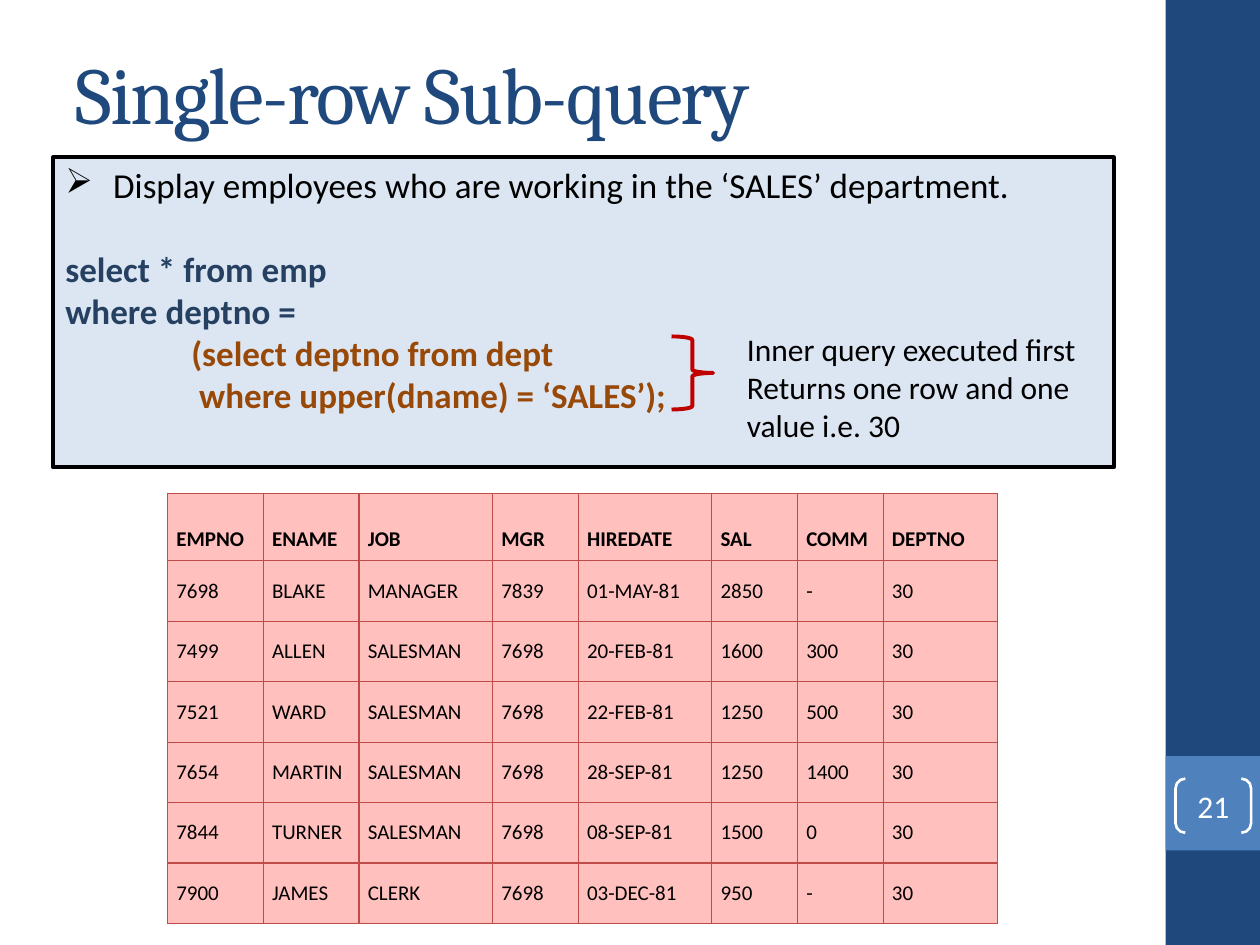
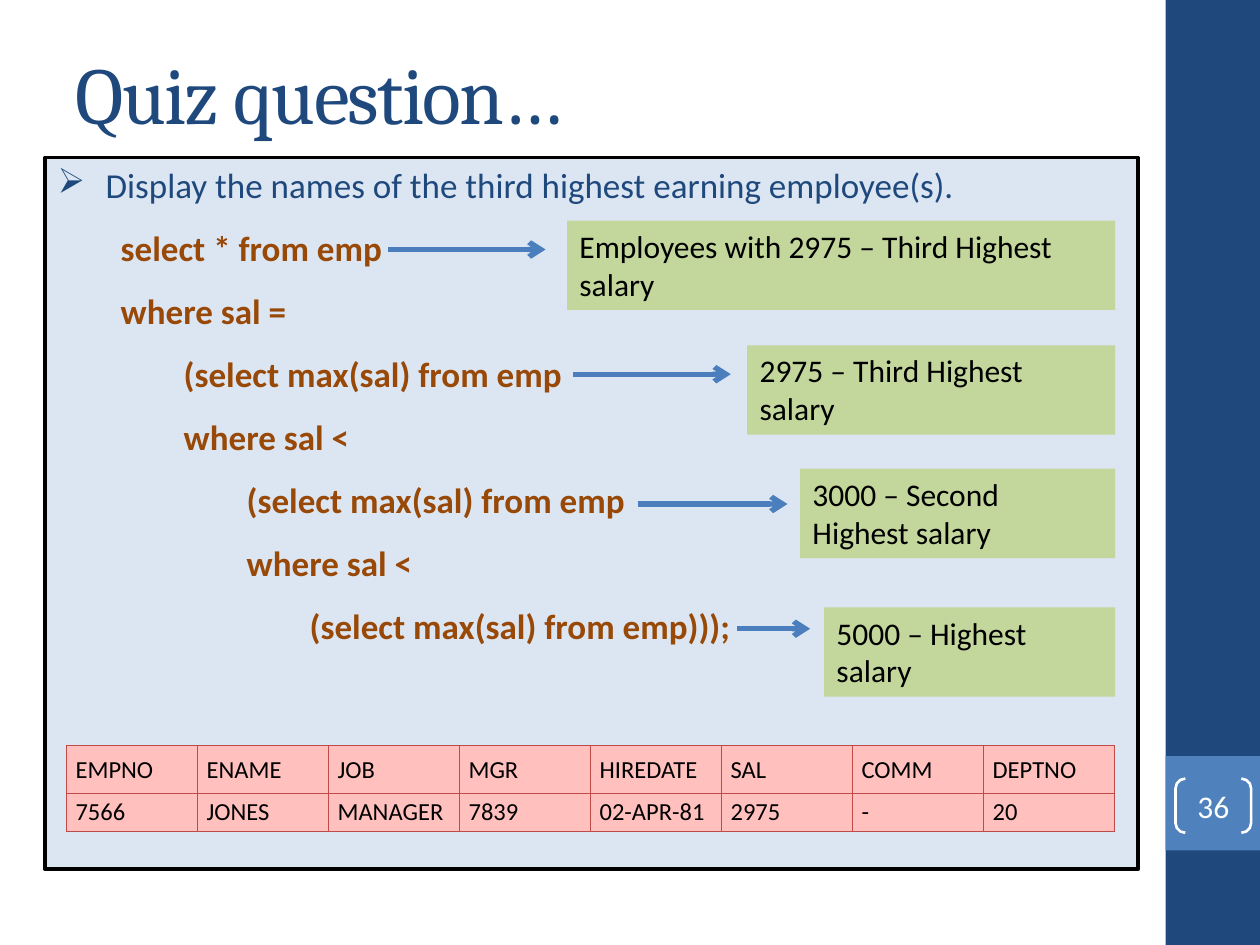
from lxml.etree import SubElement
from pptx import Presentation
from pptx.dml.color import RGBColor
from pptx.enum.shapes import MSO_CONNECTOR, MSO_SHAPE
from pptx.enum.text import MSO_ANCHOR, MSO_AUTO_SIZE, PP_ALIGN
from pptx.oxml.ns import qn
from pptx.util import Pt

PX = 9144
NAVY, BLUE, PALE, PINK = "1F497D", "4F81BD", "DCE6F2", "FFC0BE"
BROWN, RUST, GREEN, RED = "984807", "BF4C48", "C3D69B", "C00000"
DARK, ARROW, BLACK, WHITE = "254061", "4B7EBC", "000000", "FFFFFF"


def tint(code):
    return RGBColor.from_string(code)


def draw(slide, kind, at, fill=None, line=None, width=0, text="", size=18, color=BLACK):
    shape = slide.shapes.add_shape(kind, *[n * PX for n in at])
    shape.shadow.inherit = False
    if fill:
        shape.fill.solid()
        shape.fill.fore_color.rgb = tint(fill)
    else:
        shape.fill.background()
    if line:
        shape.line.color.rgb = tint(line)
        shape.line.width = Pt(width)
    else:
        shape.line.fill.background()
    if text:
        frame = shape.text_frame
        frame.text = text
        frame.word_wrap = True
        frame.vertical_anchor = MSO_ANCHOR.TOP
        for para in frame.paragraphs:
            para.alignment = PP_ALIGN.LEFT
            para.font.name = "Calibri"
            para.font.size = Pt(size)
            para.font.color.rgb = tint(color)
    return shape


HEAD = "EMPNO ENAME JOB MGR HIREDATE SAL COMM DEPTNO"
PAGES = [
    {
        "title": "Single-row Sub-query",
        "number": "21",
        "panel": (42, 125, 842, 246),
        "lead": ("Display employees who are working in the ‘SALES’ department.", BLACK),
        "code": [
            ("select * from emp", 0, 24, DARK),
            ("where deptno =", 0, 0, DARK),
            ("(select deptno from dept", 100, 0, BROWN),
            (" where upper(dname) = ‘SALES’);", 100, 0, BROWN),
        ],
        "place": (133, 392),
        "cols": [76, 76, 106, 68, 106, 68, 68, 91],
        "rows": [53] + [48] * 6,
        "size": 12,
        "bold": True,
        "data": [
            HEAD,
            "7698 BLAKE MANAGER 7839 01-MAY-81 2850 - 30",
            "7499 ALLEN SALESMAN 7698 20-FEB-81 1600 300 30",
            "7521 WARD SALESMAN 7698 22-FEB-81 1250 500 30",
            "7654 MARTIN SALESMAN 7698 28-SEP-81 1250 1400 30",
            "7844 TURNER SALESMAN 7698 08-SEP-81 1500 0 30",
            "7900 JAMES CLERK 7698 03-DEC-81 950 - 30",
        ],
    },
    {
        "title": "Quiz question…",
        "number": "36",
        "panel": (36, 125, 867, 565),
        "lead": ("Display the names of the third highest earning employee(s).", NAVY),
        "code": [
            ("select * from emp", 50, 12, BROWN),
            ("where sal =", 50, 12, BROWN),
            ("(select max(sal) from emp", 100, 12, BROWN),
            ("where sal <", 100, 12, BROWN),
            ("(select max(sal) from emp", 150, 12, BROWN),
            ("where sal <", 150, 12, BROWN),
            ("(select max(sal) from emp)));", 200, 12, BROWN),
        ],
        "place": (53, 592),
        "cols": [104] * 8,
        "rows": [37, 30],
        "size": 14,
        "bold": False,
        "data": [HEAD, "7566 JONES MANAGER 7839 02-APR-81 2975 - 20"],
    },
]

deck = Presentation()
deck.slide_width, deck.slide_height = 1000 * PX, 750 * PX
slides = []

for page in PAGES:
    slide = deck.slides.add_slide(deck.slide_layouts[5])
    slides.append(slide)
    draw(slide, MSO_SHAPE.RECTANGLE, (925, 0, 75, 750), NAVY)
    draw(slide, MSO_SHAPE.RECTANGLE, (925, 600, 75, 75), BLUE)
    badge = draw(slide, MSO_SHAPE.DOUBLE_BRACKET, (933, 618, 60, 43), None, WHITE, 1.5,
                 page["number"], 18, WHITE)
    badge.adjustments[0] = 0.18
    frame = badge.text_frame
    frame.margin_left = frame.margin_right = frame.margin_top = frame.margin_bottom = 0
    frame.vertical_anchor = MSO_ANCHOR.MIDDLE
    frame.paragraphs[0].alignment = PP_ALIGN.CENTER

    title = slide.shapes.title
    title.left, title.top, title.width, title.height = [n * PX for n in (50, 30, 833, 87)]
    frame = title.text_frame
    frame.text = page["title"]
    frame.auto_size = MSO_AUTO_SIZE.NONE
    frame.vertical_anchor = MSO_ANCHOR.MIDDLE
    frame.paragraphs[0].alignment = PP_ALIGN.LEFT
    run = frame.paragraphs[0].runs[0]
    run.font.name = "Cambria"
    run.font.size = Pt(46)
    run.font.color.rgb = tint(NAVY)
    run.font._element.set("spc", "-100")

    lead, shade = page["lead"]
    panel = draw(slide, MSO_SHAPE.RECTANGLE, page["panel"], PALE, BLACK, 2.25, lead, 20, shade)
    para = panel.text_frame.paragraphs[0]
    props = para._p.get_or_add_pPr()
    props.set("marL", str(38 * PX))
    props.set("indent", str(-38 * PX))
    mark = SubElement(props, qn("a:buChar"))
    mark.set("char", "➢")
    props.insert(0, mark)
    for text, left, gap, shade in page["code"]:
        para = panel.text_frame.add_paragraph()
        para.text = text
        para.alignment = PP_ALIGN.LEFT
        para._p.get_or_add_pPr().set("marL", str(left * PX))
        para.space_before = Pt(gap)
        para.font.name = "Calibri"
        para.font.size = Pt(20)
        para.font.bold = True
        para.font.color.rgb = tint(shade)

    cols, rows = page["cols"], page["rows"]
    left, top = page["place"]
    table = slide.shapes.add_table(len(rows), len(cols), left * PX, top * PX,
                                   sum(cols) * PX, sum(rows) * PX).table
    table.first_row = table.horz_banding = False
    for col, width in zip(table.columns, cols):
        col.width = width * PX
    for r, (line, height) in enumerate(zip(page["data"], rows)):
        table.rows[r].height = height * PX
        for c, text in enumerate(line.split()):
            cell = table.cell(r, c)
            cell.text = text
            cell.margin_left = cell.margin_right = 7 * PX
            cell.margin_top = cell.margin_bottom = (3 if r else 7) * PX
            cell.vertical_anchor = MSO_ANCHOR.MIDDLE if r else MSO_ANCHOR.BOTTOM
            font = cell.text_frame.paragraphs[0].runs[0].font
            font.name = "Calibri"
            font.size = Pt(page["size"])
            font.bold = page["bold"] and r == 0
            font.color.rgb = tint(BLACK)
            props = cell._tc.get_or_add_tcPr()
            for side in ("lnL", "lnR", "lnT", "lnB"):
                edge = SubElement(props, qn("a:" + side), w=str(Pt(0.75)))
                solid = SubElement(edge, qn("a:solidFill"))
                SubElement(solid, qn("a:srgbClr"), val=RUST)
            cell.fill.solid()
            cell.fill.fore_color.rgb = tint(PINK)

query, quiz = slides
draw(query, MSO_SHAPE.RIGHT_BRACE, (533, 267, 33, 58), None, RED, 2.25)
note = query.shapes.add_textbox(583 * PX, 257 * PX, 283 * PX, 101 * PX).text_frame
note.word_wrap = True
note.text = "Inner query executed first\nReturns one row and one value i.e. 30"
for para in note.paragraphs:
    para.font.name = "Calibri"
    para.font.size = Pt(18)
    para.font.color.rgb = tint(BLACK)

EDGE = 885
NOTES = [
    ("Employees with 2975 – Third Highest salary", 450, 175, 308, 433, 198),
    ("2975 – Third Highest salary", 593, 274, 455, 580, 297),
    ("3000 – Second Highest salary", 635, 372, 506, 625, 400),
    ("5000 – Highest salary", 654, 482, 585, 643, 499),
]
for text, left, top, start, end, y in NOTES:
    draw(quiz, MSO_SHAPE.RECTANGLE, (left, top, EDGE - left, 71), GREEN, text=text)
    arrow = quiz.shapes.add_connector(MSO_CONNECTOR.STRAIGHT, start * PX, y * PX, end * PX, y * PX)
    arrow.line.color.rgb = tint(ARROW)
    arrow.line.width = Pt(3)
    SubElement(arrow.line._get_or_add_ln(), qn("a:tailEnd"), type="arrow")
    SubElement(arrow._element.spPr, qn("a:effectLst"))

deck.save("out.pptx")
